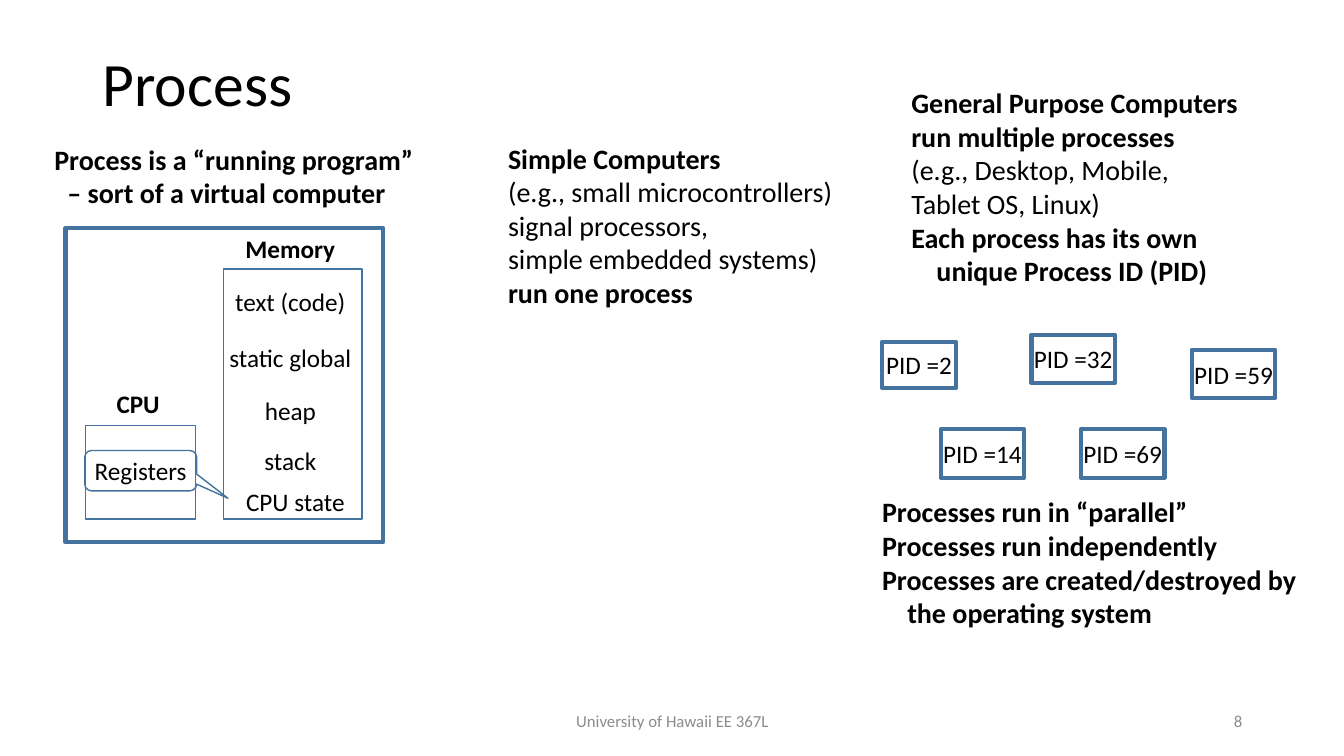
from pptx import Presentation
from pptx.dml.color import RGBColor as Color
from pptx.enum.shapes import MSO_SHAPE as Shape
from pptx.enum.text import MSO_ANCHOR as Anchor, PP_ALIGN as Align
from pptx.util import Pt

PX = 9144
FONT = "Calibri"
HUES = {"text": "000000", "line": "43739E", "foot": "8C8C8C"}


def scale(box):
    return [n * PX for n in box]


def fill_text(frame, lines, size, align, hue="text"):
    frame.word_wrap = False
    for i, (words, bold, indent) in enumerate(lines):
        para = frame.paragraphs[0] if i == 0 else frame.add_paragraph()
        para.text = words
        para.alignment = align
        if indent:
            props = para._p.get_or_add_pPr()
            props.set("marL", str(indent * PX))
            props.set("indent", "0")
        font = para.font
        font.name, font.size, font.bold = FONT, Pt(size), bold
        font.color.rgb = Color.from_string(HUES[hue])


def add_text(slide, box, lines, size, align=Align.LEFT, hue="text", anchor=Anchor.TOP):
    frame = slide.shapes.add_textbox(*scale(box)).text_frame
    frame.vertical_anchor = anchor
    fill_text(frame, lines, size, align, hue)
    return frame


def add_box(slide, box, weight, label="", kind=Shape.RECTANGLE):
    shape = slide.shapes.add_shape(kind, *scale(box))
    shape.shadow.inherit = False
    shape.fill.background()
    shape.line.color.rgb = Color.from_string(HUES["line"])
    shape.line.width = Pt(weight)
    if label:
        frame = shape.text_frame
        frame.margin_left = frame.margin_right = 0
        frame.margin_top = frame.margin_bottom = 0
        frame.vertical_anchor = Anchor.MIDDLE
        fill_text(frame, [(label, False, 0)], 18, Align.CENTER)
    return shape


def add_title(slide, box):
    frame = add_text(slide, box, [("Process", False, 0)], 44, anchor=Anchor.MIDDLE)
    frame.paragraphs[0].line_spacing = 0.9


def add_foot(slide, box):
    left, top, width, height = box
    for x, wide, words, align in (
        (left, 450, "University of Hawaii EE 367L", Align.CENTER),
        (left + width - 300, 300, "8", Align.RIGHT),
    ):
        add_text(slide, (x, top, wide, height), [(words, False, 0)], 12,
                 align, "foot", Anchor.MIDDLE)


def add_model(slide, box):
    left, top, width, height = box
    add_box(slide, box, 3)
    add_box(slide, (left + 157, top + 41, 137, 248), 1)
    add_box(slide, (left + 20, top + 196, 109, 93), 1)
    for mid, y, words, bold in (
        (223, 1, "Memory", True),
        (223, 53, "text (code)", False),
        (223, 109, "static global", False),
        (223, 161, "heap", False),
        (223, 211, "stack", False),
        (228, 252, "CPU state", False),
        (72, 154, "CPU", True),
    ):
        add_text(slide, (left + mid - 72, top + y, 144, 40),
                 [(words, bold, 0)], 18, Align.CENTER)
    callout = add_box(slide, (left + 19, top + 221, 111, 40), 1,
                      "Registers", Shape.ROUNDED_RECTANGULAR_CALLOUT)
    for i, value in enumerate((0.78, 0.684, 0.167)):
        callout.adjustments[i] = value


def add_pids(slide, box):
    left, top, width, height = box
    for x, y, wide, high, pid in (
        (0, 7, 73, 46, 2),
        (148, 0, 83, 48, 32),
        (307, 15, 83, 48, 59),
        (58, 94, 83, 48, 14),
        (197, 94, 83, 48, 69),
    ):
        add_box(slide, (left + x, top + y, wide, high), 3, f"PID ={pid}")


def add_notes(slide):
    for box, lines in (
        ((44, 136, 386, 77), [
            ("Process is a “running program”", True, 0),
            ("– sort of a virtual computer", True, 13),
        ]),
        ((494, 135, 345, 178), [
            ("Simple Computers", True, 0),
            ("(e.g., small microcontrollers)", False, 0),
            ("signal processors,", False, 0),
            ("simple embedded systems)", False, 0),
            ("run one process", True, 0),
        ]),
        ((894, 80, 347, 212), [
            ("General Purpose Computers", True, 0),
            ("run multiple processes", True, 0),
            ("(e.g., Desktop, Mobile,", False, 0),
            ("Tablet OS, Linux)", False, 0),
            ("Each process has its own", True, 0),
            ("unique Process ID (PID)", True, 25),
        ]),
        ((865, 486, 435, 145), [
            ("Processes run in “parallel”", True, 0),
            ("Processes run independently", True, 0),
            ("Processes are created/destroyed by", True, 0),
            ("the operating system", True, 25),
        ]),
    ):
        add_text(slide, box, lines, 20)


def main():
    deck = Presentation()
    deck.slide_width, deck.slide_height = scale((1333, 750))
    slide = deck.slides.add_slide(deck.slide_layouts[6])
    add_title(slide, (92, 40, 1150, 91))
    add_model(slide, (65, 226, 315, 312))
    add_notes(slide)
    add_pids(slide, (875, 332, 390, 142))
    add_foot(slide, (442, 695, 800, 40))
    deck.save("out.pptx")


if __name__ == "__main__":
    main()
